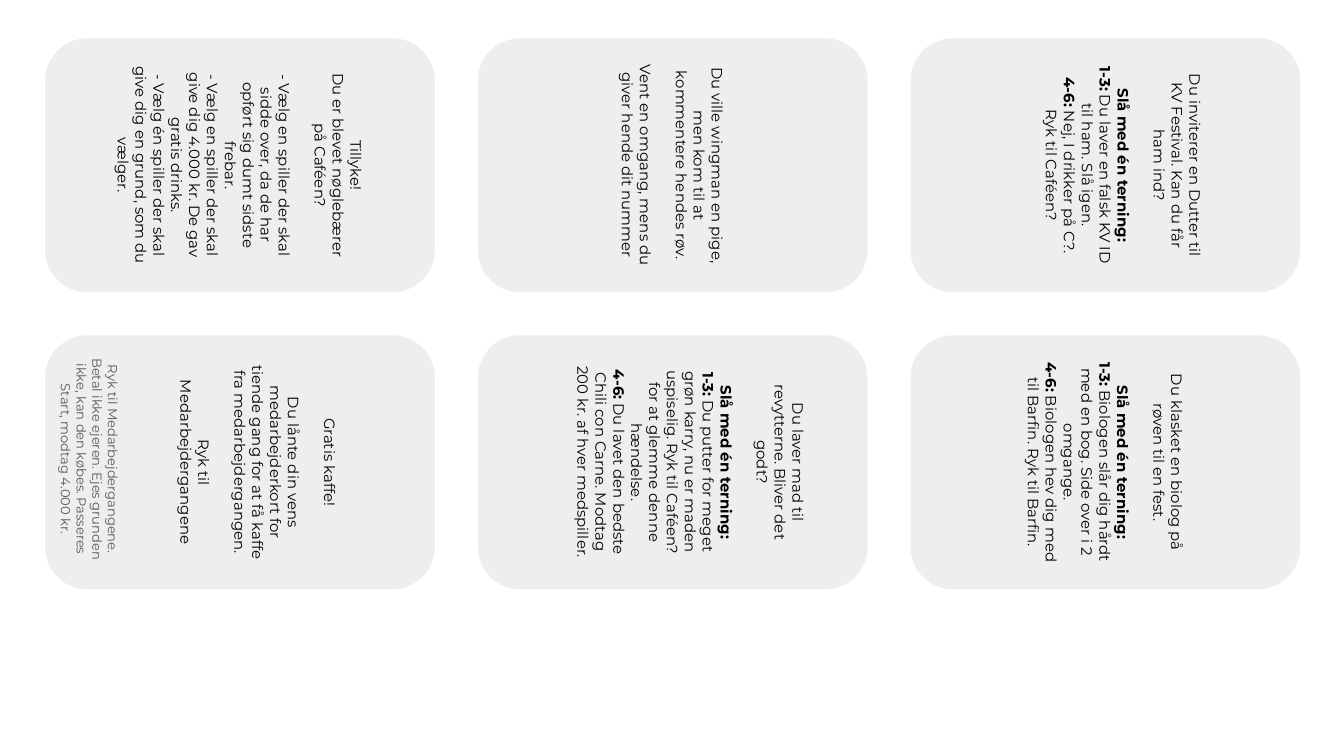
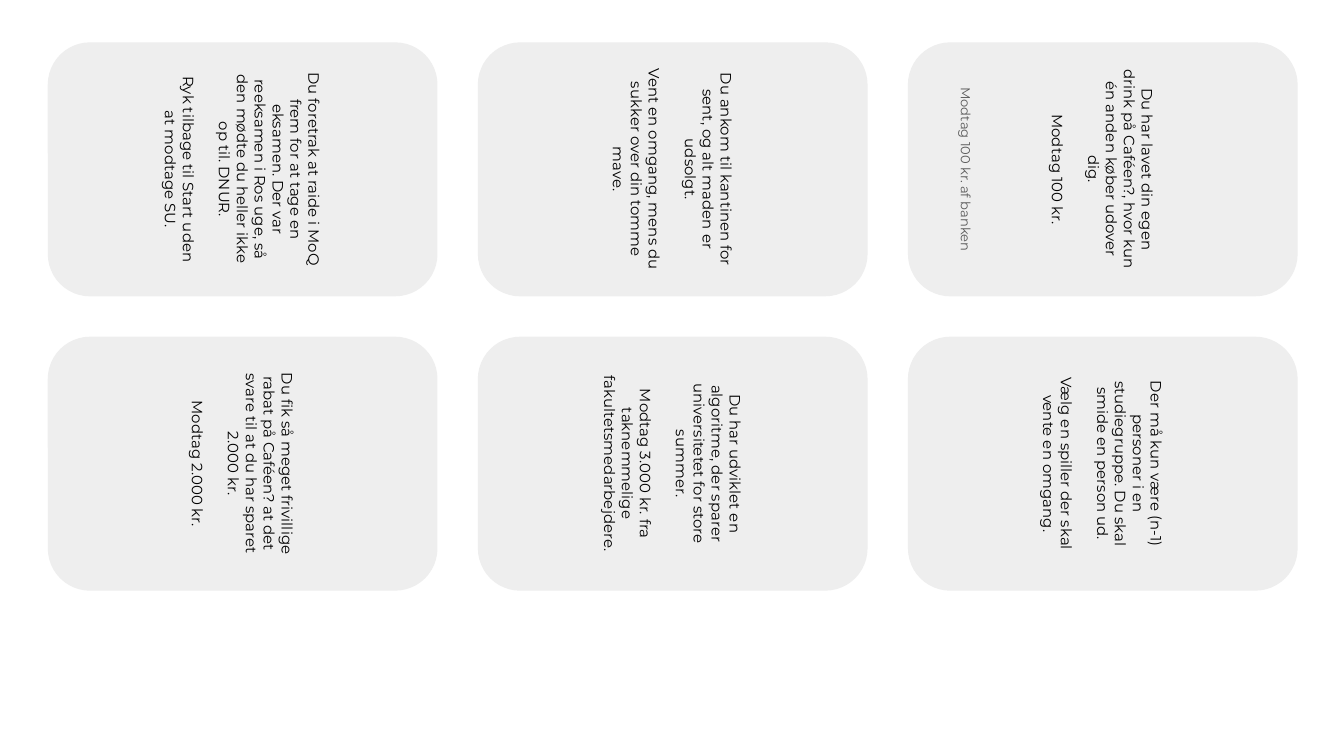
import lxml.etree
import pptx
import pptx.util
import pptx.dml.color
import pptx.enum.shapes
import pptx.enum.text
import pptx.oxml.ns

Inches = pptx.util.Inches
Pt = pptx.util.Pt

COLOURS = {"card": "EEEEEE", "text": "000000", "note": "595959"}
FONT = "Montserrat"
PAGE_WIDTH = Inches(10)
PAGE_HEIGHT = PAGE_WIDTH * 9 // 16
CARD_WIDTH, CARD_HEIGHT = 1.89, 2.9
MIDDLE_COLUMN = 4.06
NOTE_WIDTH = 1.85
INSET = 0.1
LINE_PT = 9.75  # one line of 8 point text
ROLL = "*Slå med én terning:\n1-3:*"

# Each card: column, row, groups of lines (*bold*), blank lines kept below.
CHANCE_CARDS = [
    (2, 0, [["Du inviterer en Dutter til KV Festival. Kan du får ham ind?"],
            [ROLL + " Du laver en falsk KV ID til ham. Slå igen.",
             "*4-6:* Nej, I drikker på C?. Ryk til Caféen?"]], 2),
    (0, 0, [["Tillyke!", "Du er blevet nøglebærer på Caféen?"],
            ["- Vælg en spiller der skal sidde over, da de har opført sig "
             "dumt sidste frebar.",
             "- Vælg en spiller der skal give dig 4.000 kr. De gav gratis "
             "drinks.",
             "- Vælg én spiller der skal give dig en grund, som du vælger."]],
     0),
    (1, 0, [["Du ville wingman en pige, men kom til at kommentere hendes "
             "røv."],
            ["Vent en omgang, mens du giver hende dit nummer"]], 0),
    (0, 1, [["Gratis kaffe!"],
            ["Du lånte din vens medarbejderkort for tiende gang for at få "
             "kaffe fra medarbejdergangen."],
            ["Ryk til Medarbejdergangene"]], 2),
    (1, 1, [["Du laver mad til revytterne. Bliver det godt?"],
            [ROLL + " Du putter for meget grøn karry, nu er maden uspiselig. "
             "Ryk til Caféen? for at glemme denne hændelse.",
             "*4-6:* Du lavet den bedste Chili con Carne. Modtag 200 kr. af "
             "hver medspiller."]], 2),
    (2, 1, [["Du klasket en biolog på røven til en fest."],
            [ROLL + " Biologen slår dig hårdt med en bog. Side over i 2 "
             "omgange.",
             "*4-6:* Biologen hev dig med til Barfin. Ryk til Barfin."]], 0),
]

STUDY_CARDS = [
    (0, 0, [["Du foretrak at raide i MoQ frem for at tage en eksamen. Der "
             "var reeksamen i Ros uge, så den mødte du heller ikke op til. "
             "DNUR."],
            ["Ryk tilbage til Start uden at modtage SU."]], 0),
    (1, 0, [["Du ankom til kantinen for sent, og alt maden er udsolgt."],
            ["Vent en omgang, mens du sukker over din tomme mave."]], 0),
    (0, 1, [["Du fik så meget frivillige rabat på Caféen? at det svare til "
             "at du har sparet 2.000 kr."],
            ["Modtag 2.000 kr."]], 0),
    (1, 1, [["Du har udviklet en algoritme, der sparer universitetet for "
             "store summer."],
            ["Modtag 3.000 kr. fra taknemmelige fakultetsmedarbejdere."]], 0),
    (2, 0, [["Du har lavet din egen drink på Caféen?, hvor kun én anden "
             "køber udover dig."],
            ["Modtag 100 kr."]], 0),
    (2, 1, [["Der må kun være (n-1) personer i en studiegruppe. Du skal "
             "smide en person ud."],
            ["Vælg en spiller der skal vente en omgang."]], 0),
]

# Each page: column pitch, top of first row, row pitch, cards,
# and one note (left, top, height, text).
PAGES = [
    (3.22, -0.22, 2.21, CHANCE_CARDS,
     (-0.26, 3.08, 0.67,
      "Ryk til Medarbejdergangene. Betal ikke ejeren. Ejes grunden ikke, "
      "kan den købes. Passeres Start, modtag 4.000 kr.")),
    (3.2, -0.19, 2.19, STUDY_CARDS,
     (6.22, 1.1, 0.32, "Modtag 100 kr. af banken")),
]


def colour(name):
    return pptx.dml.color.RGBColor.from_string(COLOURS[name])


def set_all(target, values):
    for name, value in values.items():
        setattr(target, name, value)


def format_frame(frame, **extra):
    values = {"word_wrap": True}
    for side in ("left", "right", "top", "bottom"):
        values["margin_" + side] = Inches(INSET)
    set_all(frame, {**values, **extra})


def add_break(para, size):
    """A line break that is as tall as the text around it."""
    para.add_line_break()
    lxml.etree.SubElement(para._p[-1], pptx.oxml.ns.qn("a:rPr"),
                          sz=str(size * 100))


def write_line(para, line, size, ink):
    """Spans of one paragraph; every second part between stars is bold."""
    for part_number, part in enumerate(line.split("*")):
        for row_number, words in enumerate(part.split("\n")):
            if row_number:
                add_break(para, size)
            if words:
                span = para.add_run()
                span.text = words
                set_all(span.font, {"name": FONT, "size": Pt(size),
                                    "bold": part_number % 2 == 1})
                span.font.color.rgb = colour(ink)


def write_groups(frame, groups, size, ink):
    """Centred lines, with one line of space between groups."""
    para = None
    for group_number, lines in enumerate(groups):
        for line_number, line in enumerate(lines):
            para = frame.add_paragraph() if para else frame.paragraphs[0]
            gap = group_number > 0 and line_number == 0
            set_all(para, {"alignment": pptx.enum.text.PP_ALIGN.CENTER,
                           "space_before": Pt(LINE_PT if gap else 0)})
            write_line(para, line, size, ink)


def add_card(page, left, top, groups, blank_lines):
    card = page.shapes.add_shape(
        pptx.enum.shapes.MSO_SHAPE.ROUNDED_RECTANGLE, Inches(left),
        Inches(top), Inches(CARD_WIDTH), Inches(CARD_HEIGHT))
    card.rotation = 90
    card.shadow.inherit = False
    card.fill.solid()
    card.fill.fore_color.rgb = colour("card")
    card.line.fill.background()
    format_frame(card.text_frame,
                 vertical_anchor=pptx.enum.text.MSO_ANCHOR.MIDDLE,
                 margin_bottom=Inches(INSET) + Pt(blank_lines * LINE_PT))
    write_groups(card.text_frame, groups, 8, "text")


def add_note(page, left, top, height, text):
    box = page.shapes.add_textbox(Inches(left), Inches(top),
                                  Inches(NOTE_WIDTH), Inches(height))
    box.rotation = 90
    format_frame(box.text_frame,
                 auto_size=pptx.enum.text.MSO_AUTO_SIZE.SHAPE_TO_FIT_TEXT)
    write_groups(box.text_frame, [[text]], 7, "note")


def main():
    deck = pptx.Presentation()
    set_all(deck, {"slide_width": PAGE_WIDTH, "slide_height": PAGE_HEIGHT})
    for column_pitch, first_top, row_pitch, cards, note in PAGES:
        page = deck.slides.add_slide(deck.slide_layouts[6])
        for column, row, groups, blank_lines in cards:
            add_card(page, MIDDLE_COLUMN + (column - 1) * column_pitch,
                     first_top + row * row_pitch, groups, blank_lines)
        add_note(page, *note)
    deck.save("out.pptx")


if __name__ == "__main__":
    main()
